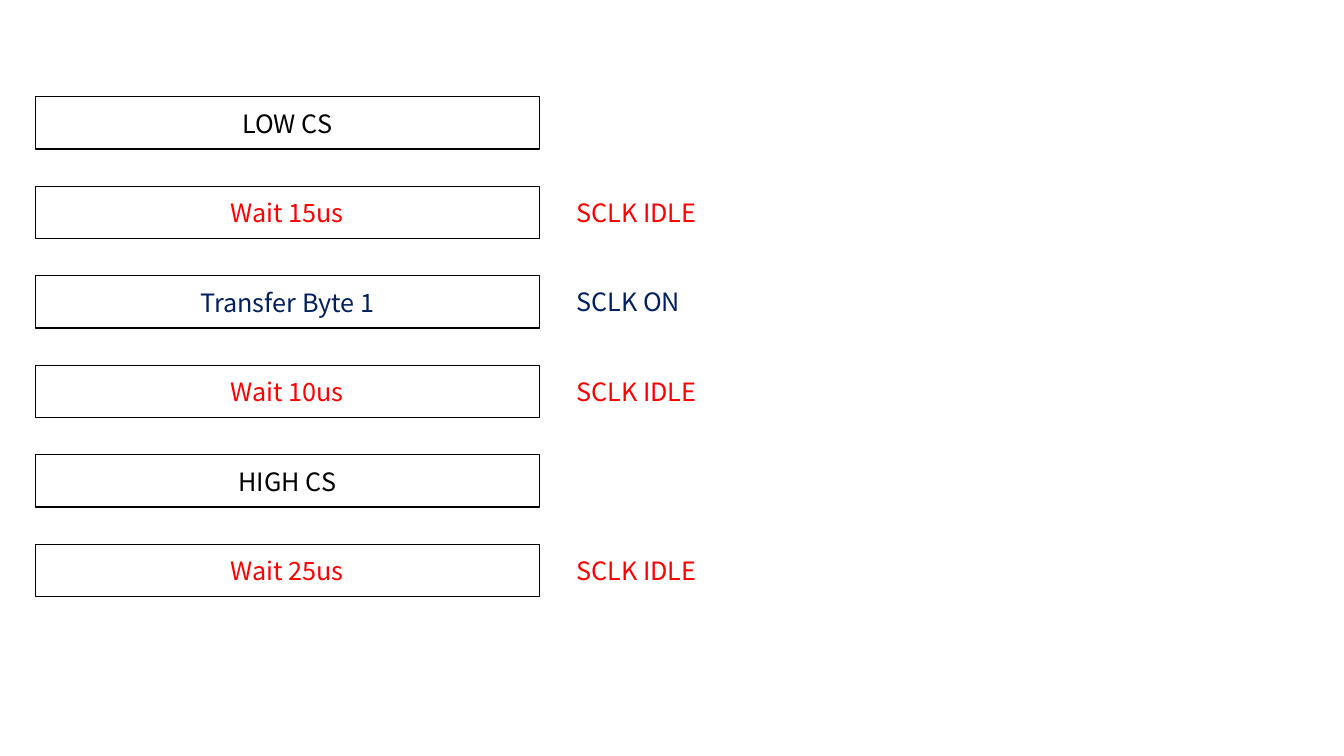
"""Build the SPI chip-select timing sequence slide."""
from dataclasses import dataclass

import pptx
import pptx.dml.color
import pptx.enum.shapes
import pptx.enum.text
import pptx.shapes.autoshape
import pptx.slide
import pptx.util

Inches = pptx.util.Inches
RGBColor = pptx.dml.color.RGBColor
PP_ALIGN = pptx.enum.text.PP_ALIGN
MSO_ANCHOR = pptx.enum.text.MSO_ANCHOR

BLACK = RGBColor(0x00, 0x00, 0x00)
WHITE = RGBColor(0xFF, 0xFF, 0xFF)
RED = RGBColor(0xFF, 0x00, 0x00)
NAVY = RGBColor(0x00, 0x20, 0x60)
FONT = "Noto Sans CJK KR"

FIRST_TOP, LAST_TOP = 0.96, 5.4
LABEL_DROP = 0.06


@dataclass(frozen=True)
class Step:
    text: str
    color: RGBColor
    clock: str = ""


STEPS = [
    Step("LOW CS", BLACK),
    Step("Wait 15us", RED, "SCLK IDLE"),
    Step("Transfer Byte 1", NAVY, "SCLK ON"),
    Step("Wait 10us", RED, "SCLK IDLE"),
    Step("HIGH CS", BLACK),
    Step("Wait 25us", RED, "SCLK IDLE"),
]


def write(sp: pptx.shapes.autoshape.Shape, text: str, *, color: RGBColor,
          size: float = 18, align: PP_ALIGN = PP_ALIGN.LEFT,
          anchor: MSO_ANCHOR = MSO_ANCHOR.TOP) -> None:
    tf = sp.text_frame
    tf.word_wrap = True
    tf.vertical_anchor = anchor
    p = tf.paragraphs[0]
    p.alignment = align
    r = p.add_run()
    r.text = text
    r.font.name = FONT
    r.font.size = pptx.util.Pt(size)
    r.font.color.rgb = color


def draw_step(s: pptx.slide.Slide, step: Step, top: float) -> None:
    sp = s.shapes.add_shape(pptx.enum.shapes.MSO_SHAPE.RECTANGLE, Inches(0.35),
                            Inches(top), Inches(5), Inches(0.52))
    sp.shadow.inherit = False
    sp.fill.solid()
    sp.fill.fore_color.rgb = WHITE
    sp.line.color.rgb = BLACK
    sp.line.width = pptx.util.Pt(1)
    write(sp, step.text, color=step.color, align=PP_ALIGN.CENTER,
          anchor=MSO_ANCHOR.MIDDLE)
    if step.clock:
        label = s.shapes.add_textbox(Inches(5.62), Inches(top + LABEL_DROP),
                                     Inches(1.48), Inches(0.4))
        label.text_frame.auto_size = pptx.enum.text.MSO_AUTO_SIZE.SHAPE_TO_FIT_TEXT
        write(label, step.clock, color=step.color)


def main() -> None:
    prs = pptx.Presentation()
    prs.slide_width, prs.slide_height = Inches(13.33), Inches(7.5)
    s = prs.slides.add_slide(prs.slide_layouts[6])
    pitch = (LAST_TOP - FIRST_TOP) / (len(STEPS) - 1)
    for i, step in enumerate(STEPS):
        draw_step(s, step, FIRST_TOP + i * pitch)
    prs.save("out.pptx")


if __name__ == "__main__":
    main()
